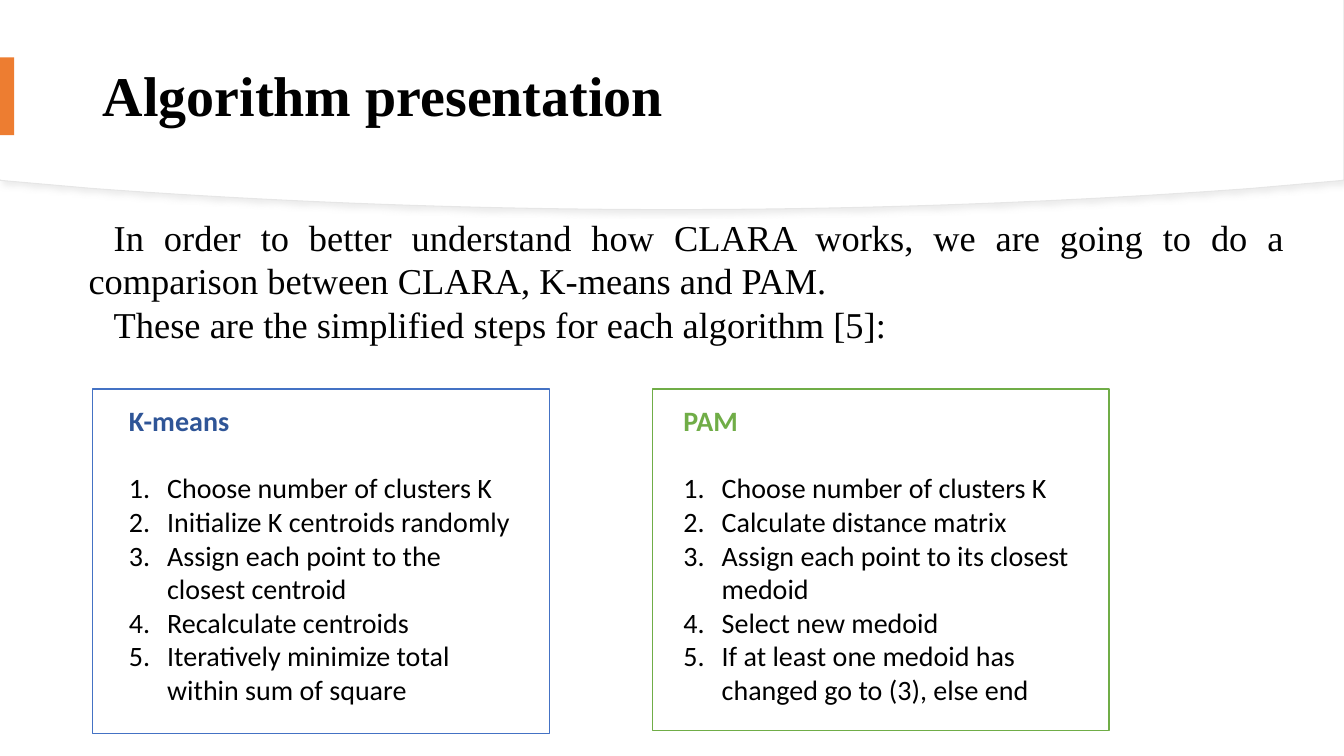
import pptx
import pptx.dml.color
import pptx.enum.shapes
import pptx.enum.text
import pptx.oxml
import pptx.oxml.ns
import pptx.util

WIDTH, HEIGHT = 13.33, 7.5
COLORS = {
    "text": "000000", "white": "FFFFFF", "edge": "E6E6E6", "shadow": "D9D9D9",
    "accent": "ED7D31", "blue": "4472C4", "dark_blue": "2F5597", "green": "70AD47",
}
SERIF, SANS = "Times New Roman", "Calibri"
LEFT, COLUMN_STEP, CARD_WIDTH, CARD_TOP = 0.92, 5.55, 4.53, 3.86
LIST_INDENT = 0.38
INTRO = [
    "In order to better understand how CLARA works, we are going to do a "
    "comparison between CLARA, K-means and PAM.",
    "These are the simplified steps for each algorithm [5]:",
]
# name, heading colour, border colour, card height, text inset, steps
ALGORITHMS = [
    ("K-means", "dark_blue", "blue", 3.42, 0.26, [
        "Choose number of clusters K",
        "Initialize K centroids randomly",
        "Assign each point to the closest centroid",
        "Recalculate centroids",
        "Iteratively minimize total within sum of square",
    ]),
    ("PAM", "green", "green", 3.39, 0.21, [
        "Choose number of clusters K",
        "Calculate distance matrix",
        "Assign each point to its closest medoid",
        "Select new medoid",
        "If at least one medoid has changed go to (3), else end",
    ]),
]


def rgb(name):
    return pptx.dml.color.RGBColor.from_string(COLORS[name])


def inches(*lengths):
    return [pptx.util.Inches(length) for length in lengths]


def paint(shape, fill=None, line=None, weight=1):
    shape.shadow.inherit = False
    if fill:
        shape.fill.solid()
        shape.fill.fore_color.rgb = rgb(fill)
    else:
        shape.fill.background()
    if line:
        shape.line.color.rgb = rgb(line)
        shape.line.width = pptx.util.Pt(weight)
    else:
        shape.line.fill.background()


def add_rectangle(slide, area, **look):
    shape = slide.shapes.add_shape(pptx.enum.shapes.MSO_SHAPE.RECTANGLE, *inches(*area))
    paint(shape, **look)


def curve_segments(shape, first):
    """Turn three line segments, counted from first, into one Bezier curve."""
    lines = list(shape._element.iter(pptx.oxml.ns.qn("a:lnTo")))[first:first + 3]
    curve = pptx.oxml.parse_xml(f'<a:cubicBezTo {pptx.oxml.ns.nsdecls("a")}/>')
    lines[0].addprevious(curve)
    for line in lines:
        curve.append(line[0])
        line.getparent().remove(line)


def add_header(slide, depth, **look):
    """Draw a band across the top whose lower edge bows down to depth."""
    right_half = [(12.42, depth - 0.21), (10.65, depth - 0.08), (8.71, depth)]
    left_half = [(WIDTH - x, y) for x, y in reversed(right_half)]
    side = depth - 0.29
    outline = [(WIDTH, 0), (WIDTH, side), *right_half, (WIDTH / 2, depth),
               *left_half, (0, side)]
    # The builder keeps whole units only, so it works in thousandths of an inch.
    builder = slide.shapes.build_freeform(0, 0, scale=pptx.util.Inches(0.001))
    builder.add_line_segments([(x * 1000, y * 1000) for x, y in outline], close=True)
    band = builder.convert_to_shape()
    for first in (6, 3):
        curve_segments(band, first)
    paint(band, **look)
    return band


def add_shadow(shape):
    properties = shape._element.spPr
    effects = properties.find(pptx.oxml.ns.qn("a:effectLst"))
    effects.append(pptx.oxml.parse_xml(
        f'<a:outerShdw {pptx.oxml.ns.nsdecls("a")} blurRad="50800" dist="38100" '
        f'dir="2700000" algn="tl" rotWithShape="0"><a:srgbClr val="{COLORS["shadow"]}">'
        '<a:alpha val="50000"/></a:srgbClr></a:outerShdw>'))


def add_run(para, text, size, font, color="text", bold=False):
    span = para.add_run()
    span.text = text
    span.font.size = pptx.util.Pt(size)
    span.font.name = font
    span.font.bold = bold
    span.font.color.rgb = rgb(color)


def indent(para, margin, first_line):
    properties = para._p.get_or_add_pPr()
    properties.set("marL", str(pptx.util.Inches(margin)))
    properties.set("indent", str(pptx.util.Inches(first_line)))
    return properties


def add_text_box(slide, area):
    box = slide.shapes.add_textbox(*inches(*area))
    box.text_frame.word_wrap = True
    box.text_frame.auto_size = pptx.enum.text.MSO_AUTO_SIZE.SHAPE_TO_FIT_TEXT
    return box.text_frame


def add_title(slide, text):
    title = slide.shapes.title
    title.left, title.top, title.width, title.height = inches(LEFT, 0.28, 11.5, 1.39)
    # Bring the title in front of the header bands.
    slide.shapes._spTree.append(title._element)
    title.text_frame.vertical_anchor = pptx.enum.text.MSO_ANCHOR.MIDDLE
    para = title.text_frame.paragraphs[0]
    para.alignment = pptx.enum.text.PP_ALIGN.LEFT
    para.line_spacing = 0.9
    add_run(para, text, 40, SERIF, bold=True)


def add_intro(slide, sentences):
    frame = add_text_box(slide, (0.78, 2.08, 12.07, 1.41))
    for index, sentence in enumerate(sentences):
        para = frame.add_paragraph() if index else frame.paragraphs[0]
        para.alignment = pptx.enum.text.PP_ALIGN.JUSTIFY
        indent(para, 0, 0.25)
        add_run(para, sentence, 26, SERIF)


def add_algorithm(slide, column, name, heading, border, height, inset, steps):
    left = LEFT + column * COLUMN_STEP
    frame = add_text_box(slide, (left + inset, CARD_TOP + 0.09, 4.06, 3.13))
    para = frame.paragraphs[0]
    para.space_after = pptx.util.Pt(24.4)
    add_run(para, name, 20, SANS, heading, bold=True)
    for step in steps:
        para = frame.add_paragraph()
        properties = indent(para, LIST_INDENT, -LIST_INDENT)
        properties.append(pptx.oxml.parse_xml(
            f'<a:buFont {pptx.oxml.ns.nsdecls("a")} typeface="+mj-lt"/>'))
        properties.append(pptx.oxml.parse_xml(
            f'<a:buAutoNum {pptx.oxml.ns.nsdecls("a")} type="arabicPeriod"/>'))
        add_run(para, step, 20, SANS)
    return left, CARD_TOP, CARD_WIDTH, height, border


def main():
    deck = pptx.Presentation()
    deck.slide_width, deck.slide_height = inches(WIDTH, HEIGHT)
    slide = deck.slides.add_slide(deck.slide_layouts.get_by_name("Title Only"))
    add_shadow(add_header(slide, 2.08, fill="white", line="edge", weight=0.75))
    add_header(slide, 2.07, fill="white")
    add_title(slide, "Algorithm presentation")
    add_rectangle(slide, (0, 0.57, 0.14, 0.77), fill="accent")
    add_intro(slide, INTRO)
    cards = [add_algorithm(slide, column, *algorithm)
             for column, algorithm in enumerate(ALGORITHMS)]
    for *area, border in cards:
        add_rectangle(slide, area, line=border)
    deck.save("out.pptx")


if __name__ == "__main__":
    main()
